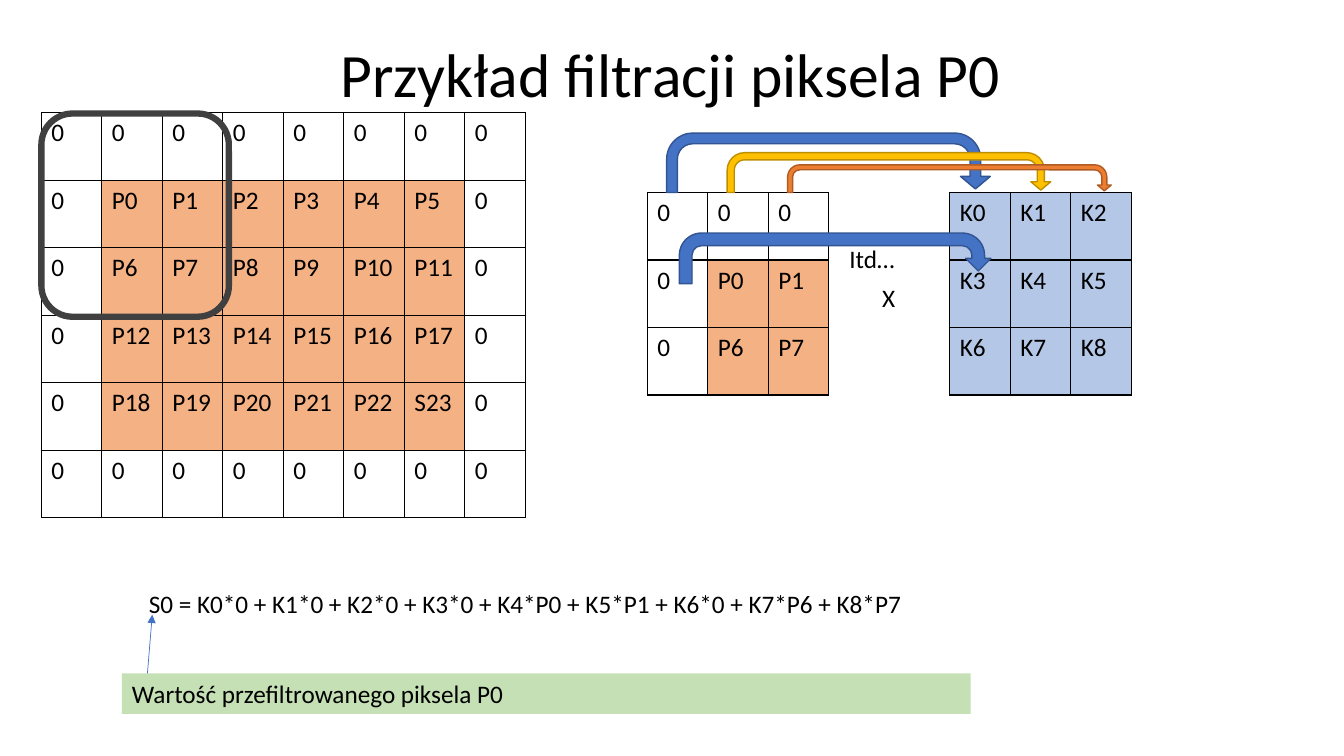
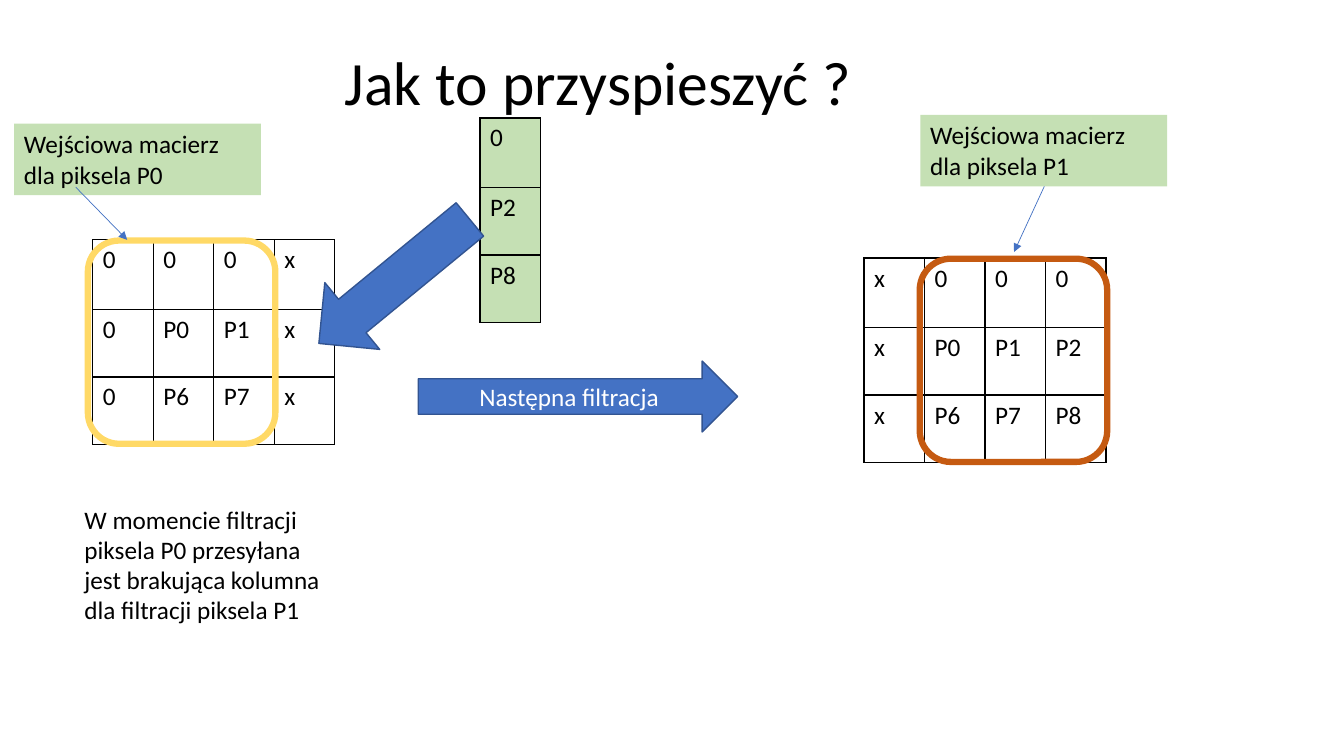
from dataclasses import dataclass
from typing import Any

from lxml import etree
from pptx import Presentation
from pptx import util as u
from pptx.dml.color import RGBColor
from pptx.enum import shapes, text
from pptx.oxml import ns

# Shared look
FONT = "Calibri"
BLACK = RGBColor(0x00, 0x00, 0x00)
WHITE = RGBColor(0xFF, 0xFF, 0xFF)
DARK_GREY = RGBColor(0x40, 0x40, 0x40)
PEACH = RGBColor(0xF4, 0xB1, 0x83)
PALE_BLUE = RGBColor(0xB4, 0xC7, 0xE7)
PALE_GREEN = RGBColor(0xC5, 0xE0, 0xB4)
BLUE = RGBColor(0x44, 0x72, 0xC4)
DARK_BLUE = RGBColor(0x32, 0x54, 0x91)
GOLD = RGBColor(0xFF, 0xC0, 0x00)
DARK_GOLD = RGBColor(0xBD, 0x8E, 0x00)
ORANGE = RGBColor(0xED, 0x7D, 0x31)
DARK_ORANGE = RGBColor(0xAF, 0x5C, 0x24)
YELLOW = RGBColor(0xFF, 0xD9, 0x66)
RUST = RGBColor(0xC5, 0x5A, 0x11)

SLIDE_W, SLIDE_H = u.Inches(13.33), u.Inches(7.5)
CELL_W, CELL_H = u.Inches(0.6), u.Inches(0.67)
SHAPE = shapes.MSO_SHAPE
ALIGN = text.PP_ALIGN


@dataclass
class Box:
    """A region: origin in percent of the slide, contents in matrix cells."""
    slide: Any
    left: float
    top: float

    def point(self, col, row):
        return (int(SLIDE_W * self.left / 100 + CELL_W * col),
                int(SLIDE_H * self.top / 100 + CELL_H * row))

    def area(self, col, row, cols, rows):
        return (*self.point(col, row), int(CELL_W * cols), int(CELL_H * rows))


def style(p, size=18, color=BLACK, align=ALIGN.LEFT):
    p.alignment = align
    p.font.name, p.font.size, p.font.color.rgb = FONT, u.Pt(size), color


# Building parts
def add_title(prs, words, left, top, align):
    s = prs.slides.add_slide(prs.slide_layouts[5])
    sp = s.shapes.title
    sp.left, sp.top = int(SLIDE_W * left / 100), int(SLIDE_H * top / 100)
    sp.width, sp.height = int(SLIDE_W * 0.86), int(SLIDE_H * 0.19)
    tf = sp.text_frame
    tf.text = words
    tf.auto_size = text.MSO_AUTO_SIZE.NONE
    tf.vertical_anchor = text.MSO_ANCHOR.MIDDLE
    style(tf.paragraphs[0], 44, align=align)
    tf.paragraphs[0].line_spacing = 0.9
    return s


def add_border(cell):
    tc_pr = cell._tc.get_or_add_tcPr()
    for side in ("a:lnL", "a:lnR", "a:lnT", "a:lnB"):
        ln = etree.SubElement(tc_pr, ns.qn(side), w=str(u.Pt(1)))
        fill = etree.SubElement(ln, ns.qn("a:solidFill"))
        etree.SubElement(fill, ns.qn("a:srgbClr"), val=str(BLACK))


def add_matrix(box, col, rows, color=None, first_row=1, colored=lambda word: True):
    area = box.area(col, 0, len(rows[0]), len(rows) - 1 + first_row)
    table = box.slide.shapes.add_table(len(rows), len(rows[0]), *area).table
    table.first_row = table.horz_banding = False
    for column in table.columns:
        column.width = CELL_W
    for r, words in enumerate(rows):
        table.rows[r].height = int(CELL_H * (1 if r else first_row))
        for c, word in enumerate(words):
            cell = table.cell(r, c)
            cell.text = word
            style(cell.text_frame.paragraphs[0])
            add_border(cell)
            if color is not None and colored(word):
                cell.fill.solid()
                cell.fill.fore_color.rgb = color
            else:
                cell.fill.background()


def add_label(box, area, words, fill=None, wrap=True):
    sp = box.slide.shapes.add_textbox(*box.area(*area))
    tf = sp.text_frame
    tf.text = words
    tf.word_wrap = wrap
    tf.auto_size = text.MSO_AUTO_SIZE.SHAPE_TO_FIT_TEXT
    style(tf.paragraphs[0])
    if fill is not None:
        sp.fill.solid()
        sp.fill.fore_color.rgb = fill


def add_window(box, col, color):
    sp = box.slide.shapes.add_shape(SHAPE.ROUNDED_RECTANGLE, *box.area(col, 0.01, 3.1, 3.01))
    sp.shadow.inherit = False
    sp.fill.background()
    sp.line.color.rgb, sp.line.width = color, u.Pt(4.5)


def add_arrow(box, kind, area, fill=BLUE, line=DARK_BLUE, words="", color=WHITE):
    sp = box.slide.shapes.add_shape(kind, *box.area(*area))
    sp.shadow.inherit = False
    sp.fill.solid()
    sp.fill.fore_color.rgb = fill
    sp.line.color.rgb, sp.line.width = line, u.Pt(1)
    if words:
        tf = sp.text_frame
        tf.text = words
        tf.vertical_anchor = text.MSO_ANCHOR.MIDDLE
        style(tf.paragraphs[0], color=color, align=ALIGN.CENTER)
    return sp


def add_pointer(box, start, end):
    line = box.slide.shapes.add_connector(
        shapes.MSO_CONNECTOR.STRAIGHT, *box.point(*start), *box.point(*end))
    line.line.color.rgb, line.line.width = BLUE, u.Pt(0.5)
    etree.SubElement(line.line._get_or_add_ln(), ns.qn("a:tailEnd"), type="triangle")
    etree.SubElement(line._element.spPr, ns.qn("a:effectLst"))


# Regions of the filtering example
def image_region(box):
    pixels = [f"P{i}" for i in range(23)] + ["S23"]
    edge = ["0"] * 8
    rows = [edge, *(["0", *pixels[i:i + 6], "0"] for i in range(0, 24, 6)), edge]
    add_matrix(box, 0, rows, PEACH, colored=lambda word: word != "0")
    add_window(box, 0, DARK_GREY)


def product_region(box):
    add_matrix(box, 0, [["0", "0", "0"], ["0", "P0", "P1"], ["0", "P6", "P7"]],
               PEACH, colored=lambda word: word != "0")
    add_matrix(box, 5, [[f"K{r * 3 + c}" for c in range(3)] for r in range(3)], PALE_BLUE)
    add_label(box, (3.72, 1.25, 0.55, 0.6), "X", wrap=False)
    # Each input cell meets the kernel cell five columns on
    bends = [(0.88, BLUE, DARK_BLUE), (0.59, GOLD, DARK_GOLD), (0.41, ORANGE, DARK_ORANGE)]
    for i, (height, fill, line) in enumerate(bends):
        sp = add_arrow(box, SHAPE.U_TURN_ARROW, (0.32 + i, -height, 5.35, height), fill, line)
        for n, value in enumerate((0.18, 0.25, 0.21, 0.44, 0.94)):
            sp.adjustments[n] = value
    sp = add_arrow(box, SHAPE.U_TURN_ARROW, (0.53, 0.6, 5.15, 0.75), words="Itd…", color=BLACK)
    sp.text_frame.margin_left = u.Inches(0.83)


def result_region(box):
    formula = "S0 = K0*0 + K1*0 + K2*0 + K3*0 + K4*P0 + K5*P1 + K6*0 + K7*P6 + K8*P7"
    add_label(box, (0.28, 0, 13.03, 0.6), formula, wrap=False)
    add_label(box, (0, 1.33, 14.03, 0.6), "Wartość przefiltrowanego piksela P0", PALE_GREEN)
    add_pointer(box, (0.42, 1.33), (0.5, 0.46))


# Regions of the speed-up slide
def input_region(box, pixel, rows, window_col, color, label_at, start, end):
    add_matrix(box, 0, rows, first_row=1.03)
    add_window(box, window_col - 0.08, color)
    add_label(box, (*label_at, 4.08, 1.06), f"Wejściowa macierz dla piksela {pixel}", PALE_GREEN)
    add_pointer(box, start, end)


def transfer_region(box):
    add_matrix(box, 0, [["0"], ["P2"], ["P8"]], PALE_GREEN, first_row=1.03)
    sp = add_arrow(box, SHAPE.RIGHT_ARROW, (-3.03, 1.78, 3.23, 1.28))
    sp.rotation = 140.6
    add_arrow(box, SHAPE.RIGHT_ARROW, (-1.02, 3.6, 5.28, 1.05), words="Następna filtracja")


def note_region(box):
    add_label(box, (0, 0, 4.58, 1.96), "W momencie filtracji piksela P0 przesyłana jest "
              "brakująca kolumna dla filtracji piksela P1")


# Slides
def filtering_slide(prs):
    s = add_title(prs, "Przykład filtracji piksela P0", 6.9, 0.8, ALIGN.CENTER)
    image_region(Box(s, 3.08, 14.93))
    product_region(Box(s, 48.16, 25.47))
    result_region(Box(s, 9.08, 77.2))


def speedup_slide(prs):
    s = add_title(prs, "Jak to przyspieszyć ?", 24.9, 1.87, ALIGN.LEFT)
    input_region(Box(s, 6.9, 31.73), "P0",
                 [["0", "0", "0", "x"], ["0", "P0", "P1", "x"], ["0", "P6", "P7", "x"]],
                 0, YELLOW, (-1.3, -1.72), (-0.28, -0.78), (0.57, 0))
    input_region(Box(s, 64.29, 34.13), "P1",
                 [["x", "0", "0", "0"], ["x", "P0", "P1", "P2"], ["x", "P6", "P7", "P8"]],
                 1, RUST, (0.93, -2.12), (2.98, -1.06), (2.48, -0.09))
    transfer_region(Box(s, 35.71, 15.6))
    note_region(Box(s, 5.55, 66))


def main():
    prs = Presentation()
    prs.slide_width, prs.slide_height = SLIDE_W, SLIDE_H
    filtering_slide(prs)
    speedup_slide(prs)
    prs.save("out.pptx")


if __name__ == "__main__":
    main()
